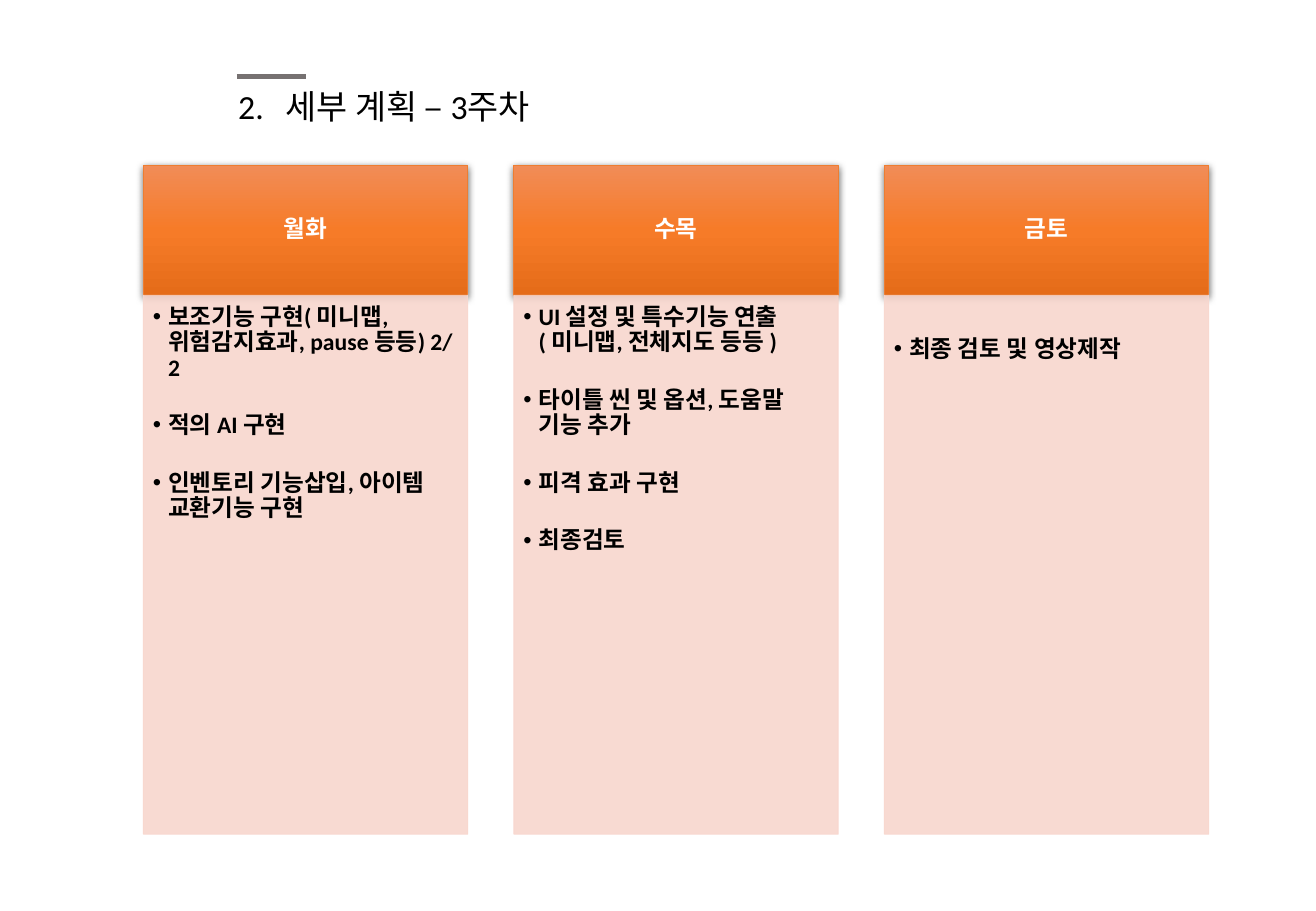
from dataclasses import dataclass

from lxml import etree
from pptx import Presentation
from pptx.dml.color import RGBColor
from pptx.enum.shapes import MSO_CONNECTOR, MSO_SHAPE
from pptx.enum.text import MSO_ANCHOR, MSO_AUTO_SIZE, PP_ALIGN
from pptx.oxml import parse_xml
from pptx.oxml.ns import nsdecls, qn
from pptx.shapes.autoshape import Shape
from pptx.slide import Slide
from pptx.util import Pt

LEFT, CENTER = PP_ALIGN.LEFT, PP_ALIGN.CENTER
TOP, MIDDLE = MSO_ANCHOR.TOP, MSO_ANCHOR.MIDDLE
NO_AUTOFIT = MSO_AUTO_SIZE.NONE
RECTANGLE = MSO_SHAPE.RECTANGLE
STRAIGHT = MSO_CONNECTOR.STRAIGHT
COMPARISON_LAYOUT = 4


@dataclass(frozen=True)
class Theme:
    font: str = "Calibri"
    title_size: float = 20
    text_size: float = 14
    ink: str = "000000"
    header_ink: str = "FFFFFF"
    accent: str = "767171"
    header_line: str = "ED7D31"
    header_stops: tuple[str, ...] = ("F18C57", "F67B28", "E56C19")
    panel: str = "F8D7CE"


@dataclass(frozen=True)
class DayPlan:
    days: str
    tasks: tuple[str, ...]
    lead: float = 0


THEME = Theme()
PLANS = (
    DayPlan("월화", (
        "보조기능 구현( 미니맵, 위험감지효과, pause 등등) 2/ 2",
        "적의 AI 구현",
        "인벤토리 기능삽입, 아이템 교환기능 구현",
    )),
    DayPlan("수목", (
        "UI 설정 및 특수기능 연출 ( 미니맵, 전체지도 등등 )",
        "타이틀 씬 및 옵션, 도움말 기능 추가",
        "피격 효과 구현",
        "최종검토",
    )),
    DayPlan("금토", ("최종 검토 및 영상제작",), lead=19),
)
COLUMN_LEFT, COLUMN_PITCH, COLUMN_WIDTH = 85, 219.6, 192.2
HEADER_TOP, HEADER_HEIGHT, PANEL_HEIGHT = 98, 77, 319.5
TASK_GAP = 19


def color(value: str) -> RGBColor:
    return RGBColor.from_string(value)


def place(shape: Shape, left: float, top: float, width: float, height: float) -> None:
    shape.left, shape.top = Pt(left), Pt(top)
    shape.width, shape.height = Pt(width), Pt(height)


def write_text(shape: Shape, *paragraphs: str, size: float, ink: str,
               bold: bool = False, align: PP_ALIGN = LEFT,
               anchor: MSO_ANCHOR = TOP, spacing: float = 0.9, gap: float = 0,
               hanging: float = 0, bullet: str = "",
               insets: tuple[float, ...] = (7.2, 3.6, 7.2, 3.6)) -> None:
    frame = shape.text_frame
    frame.word_wrap = True
    frame.auto_size = NO_AUTOFIT
    frame.vertical_anchor = anchor
    (frame.margin_left, frame.margin_top,
     frame.margin_right, frame.margin_bottom) = map(Pt, insets)
    for index, text in enumerate(paragraphs):
        paragraph = frame.add_paragraph() if index else frame.paragraphs[0]
        paragraph.alignment = align
        paragraph.line_spacing = spacing
        paragraph.space_before = Pt(0)
        paragraph.space_after = Pt(gap)
        run = paragraph.add_run()
        run.text = text
        run.font.name = THEME.font
        run.font.size = Pt(size)
        run.font.bold = bold
        run.font.color.rgb = color(ink)
        properties = paragraph._p.get_or_add_pPr()
        properties.set("marL", str(Pt(hanging)))
        properties.set("indent", str(-Pt(hanging)))
        if bullet:
            etree.SubElement(properties, qn("a:buChar")).set("char", bullet)
        else:
            etree.SubElement(properties, qn("a:buNone"))


def add_header(slide: Slide, days: str, left: float) -> None:
    header = slide.shapes.add_shape(
        RECTANGLE, Pt(left), Pt(HEADER_TOP), Pt(COLUMN_WIDTH), Pt(HEADER_HEIGHT))
    header.line.color.rgb = color(THEME.header_line)
    header.line.width = Pt(0.5)
    stops = "".join(
        f'<a:gs pos="{index * 50000}"><a:srgbClr val="{stop}"/></a:gs>'
        for index, stop in enumerate(THEME.header_stops))
    properties = header.element.spPr
    properties.insert(2, parse_xml(
        f'<a:gradFill {nsdecls("a")} rotWithShape="1"><a:gsLst>{stops}</a:gsLst>'
        '<a:lin ang="5400000" scaled="0"/></a:gradFill>'))
    header.shadow.inherit = False
    properties.find(qn("a:effectLst")).append(parse_xml(
        f'<a:outerShdw {nsdecls("a")} blurRad="{Pt(4.5)}" dist="{Pt(1.5)}" '
        'dir="5400000" algn="ctr" rotWithShape="0"><a:srgbClr val="000000">'
        '<a:alpha val="63000"/></a:srgbClr></a:outerShdw>'))
    write_text(header, days, size=THEME.text_size, ink=THEME.header_ink,
               bold=True, align=CENTER, anchor=MIDDLE)


def fill_panel(panel: Shape, plan: DayPlan, left: float) -> None:
    place(panel, left, HEADER_TOP + HEADER_HEIGHT, COLUMN_WIDTH, PANEL_HEIGHT)
    panel.fill.solid()
    panel.fill.fore_color.rgb = color(THEME.panel)
    panel.line.color.rgb = color(THEME.panel)
    panel.line.width = Pt(0.5)
    for shade in panel.element.spPr.iter(qn("a:srgbClr")):
        etree.SubElement(shade, qn("a:alpha")).set("val", "90000")
    write_text(panel, *plan.tasks, size=THEME.text_size, ink=THEME.ink, bold=True,
               gap=TASK_GAP, hanging=9, bullet="•",
               insets=(5.6, 5.6 + plan.lead, 7.5, 8.4))
    panel.element.getparent().append(panel.element)


def add_accent(slide: Slide) -> None:
    accent = slide.shapes.add_connector(
        STRAIGHT, Pt(140.4), Pt(45.4), Pt(181.4), Pt(45.4))
    accent.line.color.rgb = color(THEME.accent)
    accent.line.width = Pt(3)
    etree.SubElement(accent.element.spPr, qn("a:effectLst"))


def main() -> None:
    deck = Presentation()
    deck.slide_width, deck.slide_height = Pt(780), Pt(540)
    slide = deck.slides.add_slide(deck.slide_layouts[COMPARISON_LAYOUT])
    title, *panels = slide.placeholders
    place(title, 134, 47.5, 377, 31.5)
    write_text(title, "2.\t세부 계획 – 3주차", size=THEME.title_size,
               ink=THEME.ink, spacing=1.0, hanging=28)
    add_accent(slide)
    for column, (plan, panel) in enumerate(zip(PLANS, panels)):
        left = COLUMN_LEFT + column * COLUMN_PITCH
        add_header(slide, plan.days, left)
        fill_panel(panel, plan, left)
    for unused in panels[len(PLANS):]:
        unused.element.getparent().remove(unused.element)
    deck.save("out.pptx")


if __name__ == "__main__":
    main()
